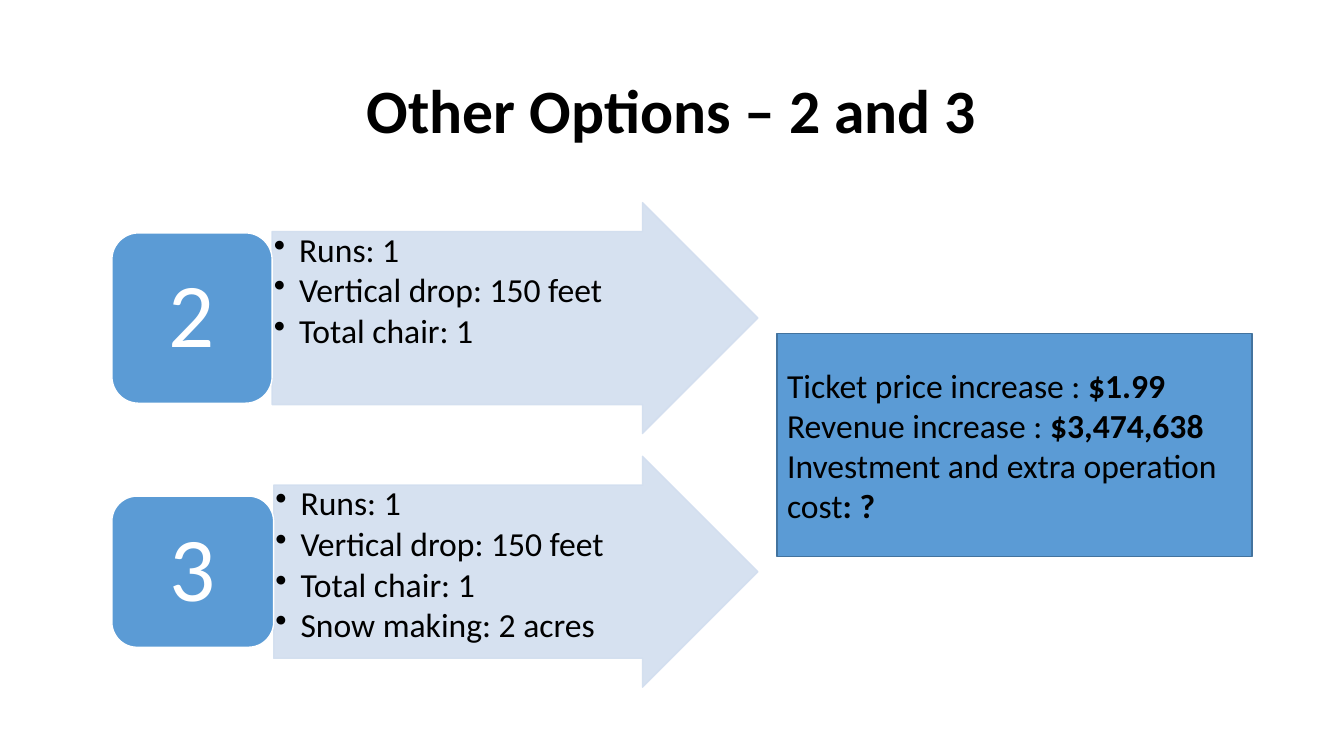
from dataclasses import dataclass

from lxml import etree
from pptx import Presentation
from pptx.dml.color import RGBColor
from pptx.enum.shapes import MSO_SHAPE
from pptx.enum.text import MSO_ANCHOR, PP_ALIGN
from pptx.oxml.ns import qn
from pptx.shapes.autoshape import Shape
from pptx.slide import Slide
from pptx.text.text import TextFrame, _Paragraph
from pptx.util import Pt

ARROW = MSO_SHAPE.RIGHT_ARROW
ROUNDED = MSO_SHAPE.ROUNDED_RECTANGLE
RECTANGLE = MSO_SHAPE.RECTANGLE
TOP, MIDDLE = MSO_ANCHOR.TOP, MSO_ANCHOR.MIDDLE
LEFT, CENTER = PP_ALIGN.LEFT, PP_ALIGN.CENTER

FONT = "Calibri"
COLORS = {
    "black": "000000",
    "white": "FFFFFF",
    "blue": "5B9BD5",
    "blue_edge": "43739E",
    "pale": "D2DEEF",
}
OPTION_LEFT = 79.9
ARROW_TIP = 541.4
ARROW_HEIGHT = 164.9
BULLET_INDENT = 18


@dataclass(frozen=True)
class Box:
    left: float
    top: float
    width: float
    height: float


@dataclass(frozen=True)
class Option:
    number: str
    center: float
    width: float
    height: float
    facts: tuple[str, ...]


OPTIONS = (
    Option("2", 227.2, 114.5, 121.7,
           ("Runs: 1", "Vertical drop: 150 feet", "Total chair: 1")),
    Option("3", 408.4, 115.6, 108,
           ("Runs: 1", "Vertical drop: 150 feet", "Total chair: 1",
            "Snow making: 2 acres")),
)
RESULTS = (
    ("Ticket price increase : ", "$1.99"),
    ("Revenue increase : ", "$3,474,638"),
    ("Investment and extra operation cost", ": ?"),
)


def color(name: str) -> RGBColor:
    return RGBColor.from_string(COLORS[name])


def add_box(page: Slide, kind: MSO_SHAPE, box: Box, fill: str, edge: str) -> Shape:
    shape = page.shapes.add_shape(
        kind, Pt(box.left), Pt(box.top), Pt(box.width), Pt(box.height))
    shape.shadow.inherit = False
    shape.fill.solid()
    shape.fill.fore_color.rgb = color(fill)
    shape.line.color.rgb = color(edge)
    shape.line.width = Pt(1)
    return shape


def make_translucent(shape: Shape, percent: int) -> None:
    for tint in shape._element.spPr.iter(qn("a:srgbClr")):
        etree.SubElement(tint, qn("a:alpha"), val=str(percent * 1000))


def set_frame(frame: TextFrame, anchor: MSO_ANCHOR, inset: float | None = None) -> None:
    frame.word_wrap = True
    frame.vertical_anchor = anchor
    if inset is not None:
        frame.margin_left = frame.margin_right = Pt(inset)
        frame.margin_top = frame.margin_bottom = Pt(inset)


def next_paragraph(frame: TextFrame, index: int) -> _Paragraph:
    return frame.add_paragraph() if index else frame.paragraphs[0]


def style(para: _Paragraph, size: float, ink: str, align: PP_ALIGN,
          spacing: float = 0.9) -> None:
    para.alignment = align
    para.line_spacing = spacing
    para.font.name = FONT
    para.font.size = Pt(size)
    para.font.color.rgb = color(ink)


def add_bullet(para: _Paragraph) -> None:
    properties = para._p.get_or_add_pPr()
    properties.set("marL", str(Pt(BULLET_INDENT)))
    properties.set("indent", str(-Pt(BULLET_INDENT)))
    bullet = etree.Element(qn("a:buChar"), char="•")
    properties.find(qn("a:defRPr")).addprevious(bullet)


def add_title(page: Slide, text: str) -> None:
    title = page.shapes.add_textbox(Pt(66), Pt(28.8), Pt(828), Pt(104.4))
    set_frame(title.text_frame, MIDDLE)
    para = title.text_frame.paragraphs[0]
    para.text = text
    style(para, 44, "black", CENTER)
    para.font.bold = True


def add_option(page: Slide, option: Option) -> None:
    arrow_left = OPTION_LEFT + option.width
    arrow = add_box(
        page, ARROW,
        Box(arrow_left, option.center - ARROW_HEIGHT / 2,
            ARROW_TIP - arrow_left, ARROW_HEIGHT),
        "pale", "pale")
    arrow.adjustments[0] = 0.75
    arrow.adjustments[1] = 0.5
    make_translucent(arrow, 90)
    set_frame(arrow.text_frame, TOP, 1.2)
    for index, fact in enumerate(option.facts):
        para = next_paragraph(arrow.text_frame, index)
        para.text = fact
        para.level = 1
        style(para, 24, "black", LEFT)
        para.space_after = Pt(3.1)
        add_bullet(para)

    badge = add_box(
        page, ROUNDED,
        Box(OPTION_LEFT, option.center - option.height / 2,
            option.width, option.height),
        "blue", "white")
    set_frame(badge.text_frame, MIDDLE, 10)
    para = badge.text_frame.paragraphs[0]
    para.text = option.number
    style(para, 65, "white", CENTER)


def add_results(page: Slide) -> None:
    panel = add_box(page, RECTANGLE, Box(555.1, 238.3, 339.1, 159.1),
                    "blue", "blue_edge")
    set_frame(panel.text_frame, MIDDLE)
    for index, (label, value) in enumerate(RESULTS):
        para = next_paragraph(panel.text_frame, index)
        para.add_run().text = label
        span = para.add_run()
        span.text = value
        span.font.bold = True
        style(para, 24, "black", LEFT, 1.0)


def main() -> None:
    deck = Presentation()
    deck.slide_width, deck.slide_height = Pt(960), Pt(540)
    page = deck.slides.add_slide(deck.slide_layouts[6])
    add_title(page, "Other Options – 2 and 3")
    for option in OPTIONS:
        add_option(page, option)
    add_results(page)
    deck.save("out.pptx")


if __name__ == "__main__":
    main()
